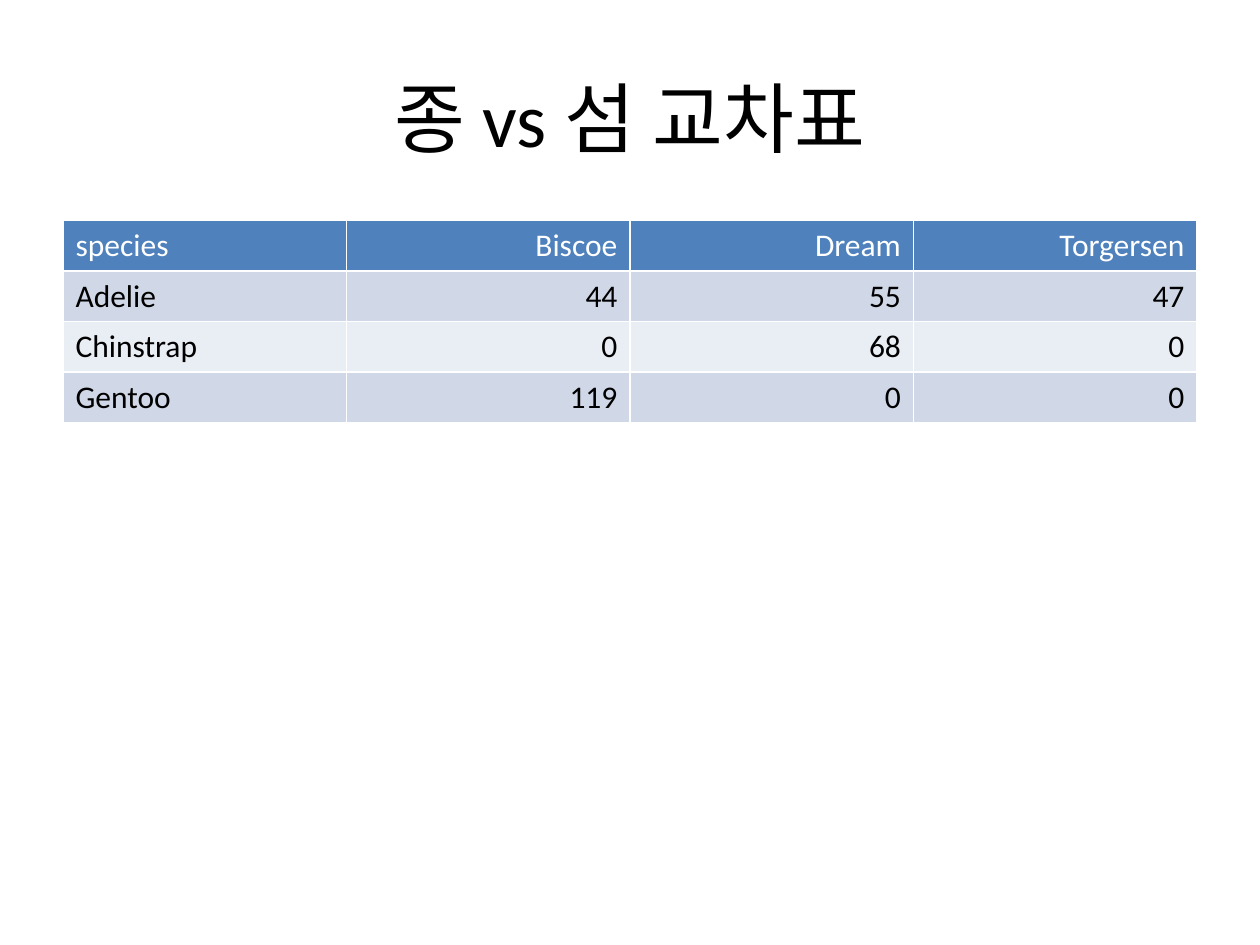
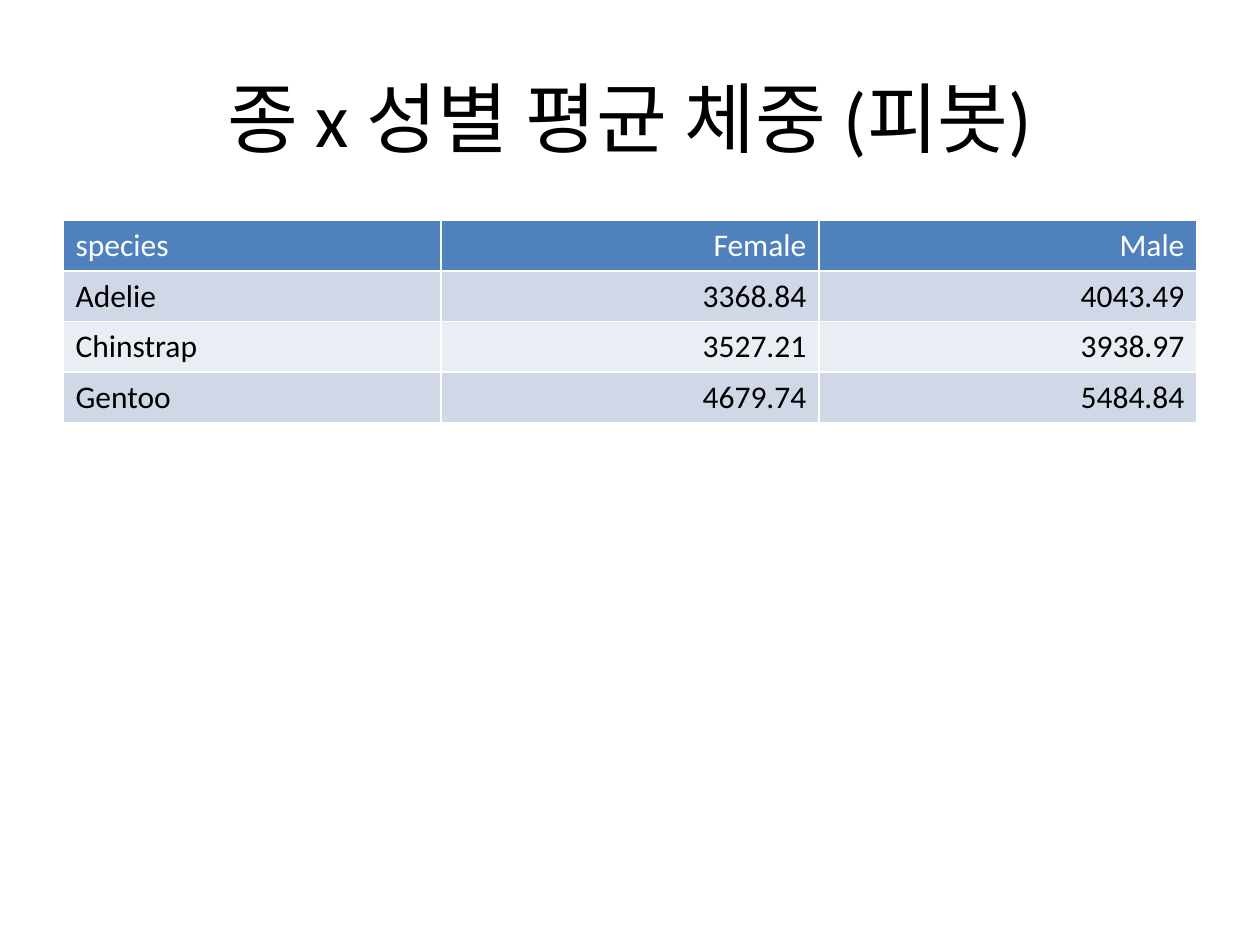
from lxml import etree
from pptx import Presentation
from pptx import util as u
from pptx.dml.color import RGBColor
from pptx.enum import text
from pptx.oxml.ns import qn

COLORS = {"ink": "000000", "paper": "FFFFFF", "header": "4F81BD",
          "odd": "D0D8E8", "even": "E9EDF4"}
WIDTH, HEIGHT = u.Inches(10), u.Inches(7.5)
COLUMN, ROW = WIDTH // 20, HEIGHT // 150
LEFT, SPAN = 1, 18
SPECIES = ("Adelie", "Chinstrap", "Gentoo")
CROSSTABS = (
    ("종 vs 섬 교차표", ("Biscoe", "Dream", "Torgersen"),
     ((44, 55, 47), (0, 68, 0), (119, 0, 0))),
    ("종 x 성별 평균 체중 (피봇)", ("Female", "Male"),
     ((3368.84, 4043.49), (3527.21, 3938.97), (4679.74, 5484.84))),
)


class Deck:
    """Holds the shared style and the slide being built."""

    def __init__(self):
        self.prs = Presentation()
        self.prs.slide_width, self.prs.slide_height = WIDTH, HEIGHT
        self.slide = None

    def new_slide(self):
        self.slide = self.prs.slides.add_slide(self.prs.slide_layouts[6])

    def label(self, paragraph, wording, size, color, align):
        paragraph.alignment = align
        run = paragraph.add_run()
        run.text = wording
        style = {"name": "Calibri", "size": u.Pt(size), "bold": False}
        for key, value in style.items():
            setattr(run.font, key, value)
        run.font.color.rgb = RGBColor.from_string(COLORS[color])

    def title(self, wording):
        heading = self.slide.shapes.add_textbox(
            LEFT * COLUMN, 6 * ROW, SPAN * COLUMN, 25 * ROW).text_frame
        layout = {"word_wrap": True, "vertical_anchor": text.MSO_ANCHOR.MIDDLE}
        for key, value in layout.items():
            setattr(heading, key, value)
        self.label(heading.paragraphs[0], wording, 44, "ink", text.PP_ALIGN.CENTER)

    def borders(self, cell):
        properties = cell._tc.get_or_add_tcPr()
        for side in ("lnL", "lnR", "lnT", "lnB"):
            line = etree.SubElement(properties, qn(f"a:{side}"), w=str(u.Pt(1)))
            fill = etree.SubElement(line, qn("a:solidFill"))
            etree.SubElement(fill, qn("a:srgbClr"), val=COLORS["paper"])

    def table(self, records):
        grid = self.slide.shapes.add_table(
            len(records), len(records[0]), LEFT * COLUMN, 35 * ROW,
            SPAN * COLUMN, 8 * ROW * len(records)).table
        for r, record in enumerate(records):
            band = "header" if r == 0 else "odd" if r % 2 else "even"
            for c, value in enumerate(record):
                cell = grid.cell(r, c)
                self.borders(cell)
                cell.fill.solid()
                cell.fill.fore_color.rgb = RGBColor.from_string(COLORS[band])
                self.label(cell.text_frame.paragraphs[0], str(value), 18,
                           "ink" if r else "paper",
                           text.PP_ALIGN.RIGHT if c else text.PP_ALIGN.LEFT)


def main():
    deck = Deck()
    for heading, groups, values in CROSSTABS:
        deck.new_slide()
        deck.title(heading)
        body = [(name, *figures) for name, figures in zip(SPECIES, values)]
        deck.table([("species", *groups), *body])
    deck.prs.save("out.pptx")


if __name__ == "__main__":
    main()
